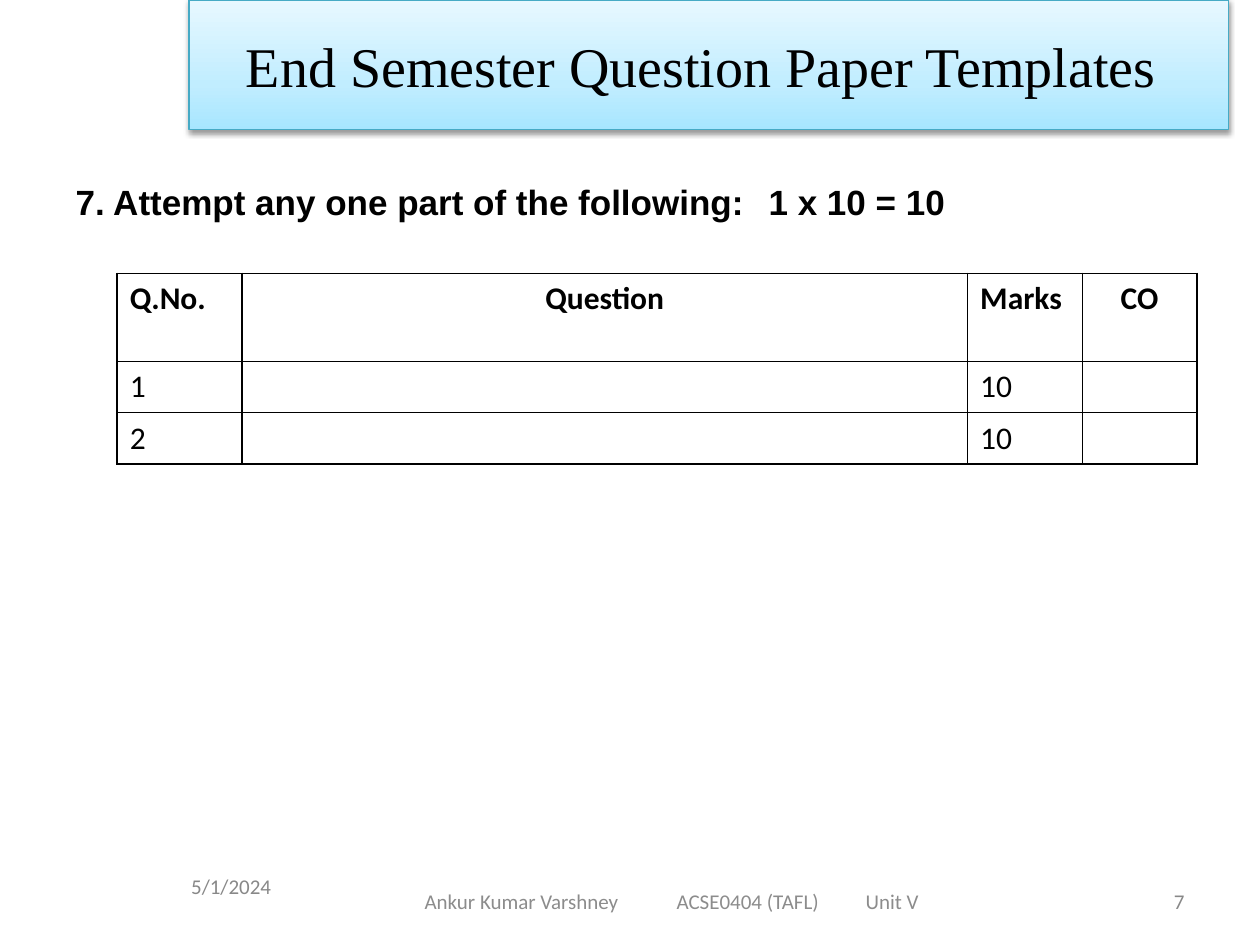
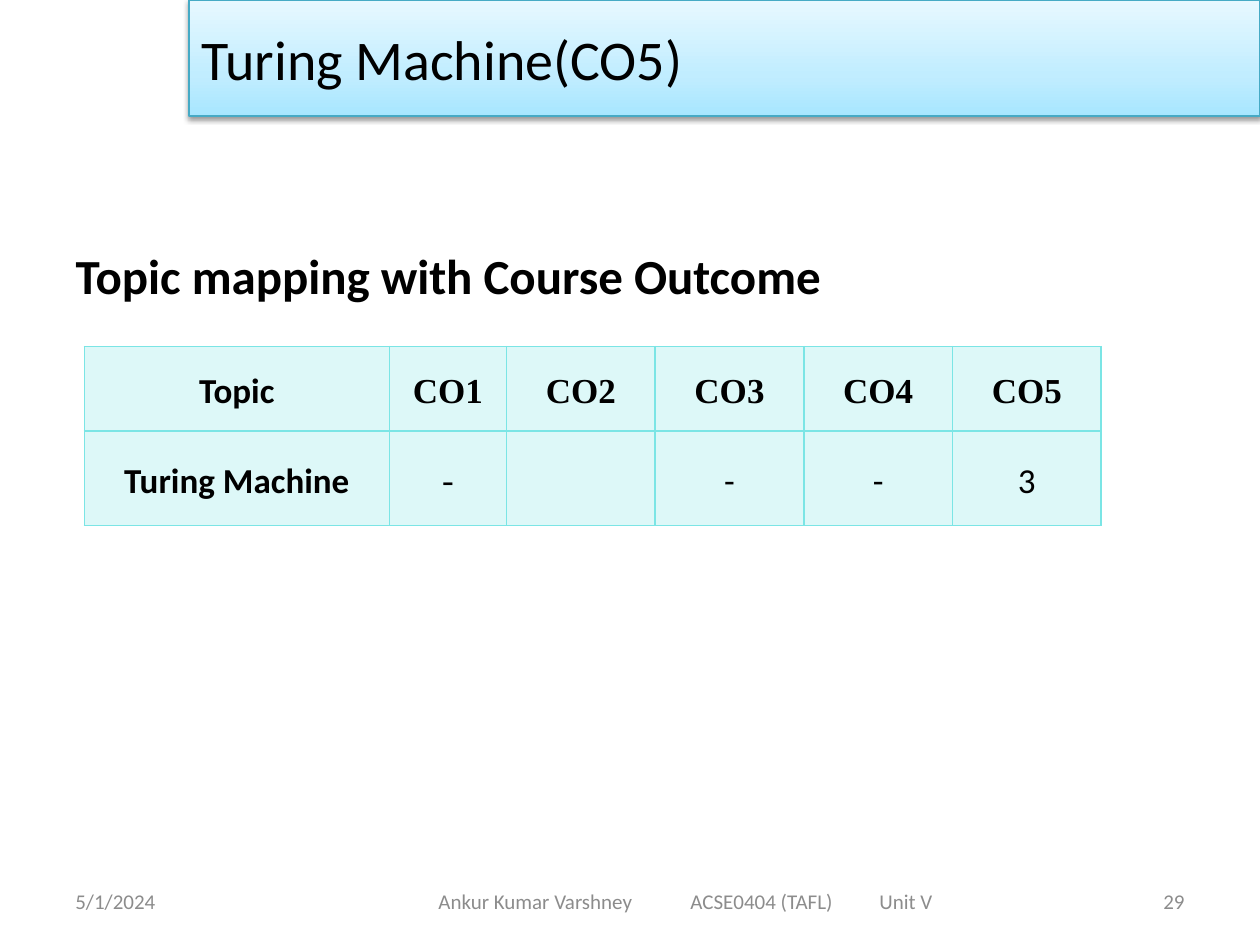
from dataclasses import dataclass

from lxml.etree import SubElement
from pptx import Presentation
from pptx.dml.color import RGBColor
from pptx.enum.text import MSO_ANCHOR, MSO_AUTO_SIZE, PP_ALIGN
from pptx.oxml import parse_xml
from pptx.oxml.ns import nsdecls, qn
from pptx.util import Inches, Pt

LEFT, CENTER, RIGHT = PP_ALIGN.LEFT, PP_ALIGN.CENTER, PP_ALIGN.RIGHT


@dataclass(frozen=True)
class Theme:
    sans: str = "Calibri"
    serif: str = "Times New Roman"
    body: str = "Arial"
    ink: str = "000000"
    paper: str = "FFFFFF"
    grey: str = "888888"
    footer_grey: str = "8C8C8C"
    band_line: str = "46AAC5"
    band_stops: tuple = ((0, "A7E6FF"), (35, "C1EDFF"), (100, "E7F8FF"))
    aqua: str = "7BE5E5"
    title_size: int = 32
    heading_size: int = 28
    text_size: int = 20
    cell_size: int = 18
    footer_size: int = 12


THEME = Theme()


@dataclass(frozen=True)
class Box:
    left: float
    top: float
    width: float
    height: float

    def emu(self) -> list:
        return [Inches(v) for v in (self.left, self.top, self.width, self.height)]


@dataclass(frozen=True)
class Text:
    """One paragraph; tabs are (position in inches, "l" or "r") pairs."""
    text: str
    font: str = THEME.sans
    size: int = THEME.footer_size
    color: str = THEME.footer_grey
    bold: bool = False
    align: PP_ALIGN = LEFT
    tabs: tuple = ()


@dataclass(frozen=True)
class Label:
    box: Box
    text: Text
    inset: float = 0.1


@dataclass(frozen=True)
class Grid:
    left: float
    top: float
    cols: tuple
    heights: tuple
    rows: tuple
    aligns: tuple
    size: int
    line: str
    fill: str
    alpha: int = 100
    margins: tuple = (0.1, 0.05)
    anchor: MSO_ANCHOR = MSO_ANCHOR.TOP
    spacing: float = 1.0
    bold_first_col: bool = False
    serif_cells: frozenset = frozenset()


def set_all(target, values: dict) -> None:
    for name, value in values.items():
        setattr(target, name, value)


def write(p, text: Text) -> None:
    set_all(p, {"alignment": text.align, "space_before": Pt(0)})
    pPr = p._p.get_or_add_pPr()
    set_all_xml = {"marL": "0", "indent": "0"}
    for name, value in set_all_xml.items():
        pPr.set(name, value)
    SubElement(pPr, qn("a:buNone"))
    if text.tabs:
        tabs = SubElement(pPr, qn("a:tabLst"))
        for pos, side in text.tabs:
            SubElement(tabs, qn("a:tab"), pos=str(Inches(pos)), algn=side)
    r = p.add_run()
    r.text = text.text
    set_all(r.font, {"name": text.font, "size": Pt(text.size), "bold": text.bold})
    r.font.color.rgb = RGBColor.from_string(text.color)


def place(sp, box: Box) -> None:
    set_all(sp, dict(zip(("left", "top", "width", "height"), box.emu())))


def add_band(s, box: Box, text: Text, right_inset: float = 0.1) -> None:
    """Turn the title placeholder into the shaded band at the top."""
    sp = s.shapes.title
    place(sp, box)
    stops = "".join(
        f'<a:gs pos="{pos * 1000}"><a:srgbClr val="{color}"/></a:gs>'
        for pos, color in THEME.band_stops)
    spPr = sp._element.spPr
    spPr.append(parse_xml(
        f'<a:gradFill {nsdecls("a")} rotWithShape="1"><a:gsLst>{stops}</a:gsLst>'
        '<a:lin ang="16200000" scaled="0"/></a:gradFill>'))
    sp.line.color.rgb = RGBColor.from_string(THEME.band_line)
    sp.line.width = Pt(0.75)
    spPr.append(parse_xml(
        f'<a:effectLst {nsdecls("a")}><a:outerShdw blurRad="{Pt(3.1)}" '
        f'dist="{Pt(1.6)}" dir="5400000" rotWithShape="0"><a:srgbClr val="000000">'
        '<a:alpha val="38000"/></a:srgbClr></a:outerShdw></a:effectLst>'))
    set_all(sp.text_frame, {"vertical_anchor": MSO_ANCHOR.MIDDLE, "word_wrap": True,
                            "auto_size": MSO_AUTO_SIZE.NONE,
                            "margin_right": Inches(right_inset)})
    write(sp.text_frame.paragraphs[0], text)


def fill_body(s, box: Box, text: Text, top_inset: float) -> None:
    sp = s.placeholders[1]
    place(sp, box)
    set_all(sp.text_frame, {"margin_top": Inches(top_inset),
                            "auto_size": MSO_AUTO_SIZE.NONE})
    write(sp.text_frame.paragraphs[0], text)


def add_label(s, label: Label) -> None:
    tf = s.shapes.add_textbox(*label.box.emu()).text_frame
    set_all(tf, {"word_wrap": True, "vertical_anchor": MSO_ANCHOR.MIDDLE,
                 "margin_left": Inches(label.inset)})
    write(tf.paragraphs[0], label.text)


def style_cell(cell, grid: Grid) -> None:
    side, end = (Inches(v) for v in grid.margins)
    set_all(cell, {"margin_left": side, "margin_right": side, "margin_top": end,
                   "margin_bottom": end, "vertical_anchor": grid.anchor})
    tcPr = cell._tc.get_or_add_tcPr()
    for edge in "LRTB":
        tcPr.append(parse_xml(
            f'<a:ln{edge} {nsdecls("a")} w="{Pt(1)}"><a:solidFill>'
            f'<a:srgbClr val="{grid.line}"/></a:solidFill></a:ln{edge}>'))
    cell.fill.solid()
    cell.fill.fore_color.rgb = RGBColor.from_string(grid.fill)
    if grid.alpha < 100:
        color = tcPr.find(qn("a:solidFill")).find(qn("a:srgbClr"))
        SubElement(color, qn("a:alpha"), val=str(grid.alpha * 1000))


def add_grid(s, grid: Grid) -> None:
    box = Box(grid.left, grid.top, sum(grid.cols), sum(grid.heights))
    table = s.shapes.add_table(len(grid.rows), len(grid.cols), *box.emu()).table
    set_all(table, {"first_row": False, "horz_banding": False})
    for col, width in zip(table.columns, grid.cols):
        col.width = Inches(width)
    for i, (row, height) in enumerate(zip(grid.rows, grid.heights)):
        table.rows[i].height = Inches(height)
        for j, value in enumerate(row):
            cell = table.cell(i, j)
            style_cell(cell, grid)
            if not value:
                continue
            p = cell.text_frame.paragraphs[0]
            p.line_spacing = grid.spacing
            font = THEME.serif if (i, j) in grid.serif_cells else THEME.sans
            bold = i == 0 or (grid.bold_first_col and j == 0)
            write(p, Text(value, font, grid.size, THEME.ink, bold, grid.aligns[j]))


FOOTER_TEXT = "Ankur Kumar Varshney\tACSE0404 (TAFL)\tUnit V"
FOOTER_BOX = Box(2.75, 6.95, 5.5, 0.4)
NUMBER_BOX = Box(7.17, 6.95, 2.33, 0.4)


def add_footer(s, date: Label, number: str, color: str, inset: float,
               stops: tuple) -> None:
    add_label(s, date)
    add_label(s, Label(NUMBER_BOX, Text(number, color=color, align=RIGHT)))
    tabs = tuple((pos, "l") for pos in stops)
    add_label(s, Label(FOOTER_BOX, Text(FOOTER_TEXT, tabs=tabs), inset))


QUESTIONS = Grid(
    left=0.93, top=2.17, cols=(0.99, 5.76, 0.91, 0.91), heights=(0.7, 0.4, 0.4),
    rows=(("Q.No.", "Question", "Marks", "CO"),
          ("1", "", "10", ""),
          ("2", "", "10", "")),
    aligns=(LEFT, CENTER, LEFT, CENTER),
    size=THEME.cell_size, line=THEME.ink, fill=THEME.paper)

OUTCOMES = Grid(
    left=0.67, top=2.75, cols=(2.42, 0.93) + (1.18,) * 4, heights=(0.67, 0.75),
    rows=(("Topic", "CO1", "CO2", "CO3", "CO4", "CO5"),
          ("Turing Machine", "-", "", "-", "-", "3")),
    aligns=(CENTER,) * 6,
    size=THEME.text_size, line=THEME.aqua, fill=THEME.aqua, alpha=25,
    margins=(0.07, 0), anchor=MSO_ANCHOR.MIDDLE, spacing=1.15, bold_first_col=True,
    serif_cells=frozenset([(0, j) for j in range(1, 6)] + [(1, 1)]))


def question_paper(prs) -> None:
    s = prs.slides.add_slide(prs.slide_layouts[1])
    add_band(s, Box(1.5, 0, 8.25, 1.03),
             Text("End Semester Question Paper Templates", THEME.serif,
                  THEME.title_size, THEME.ink, align=CENTER), right_inset=0.22)
    fill_body(s, Box(0.5, 1.34, 9, 5.2),
              Text("7. Attempt any one part of the following:\t1 x 10 = 10", THEME.body,
                   THEME.text_size, THEME.ink, True, tabs=((8.78, "r"),)), 0.09)
    add_grid(s, QUESTIONS)
    date = Label(Box(0.25, 6.83, 3.17, 0.4),
                 Text("5/1/2024", color=THEME.grey, align=CENTER))
    add_footer(s, date, "7", THEME.grey, 0.62, (2.03, 3.83))


def topic_mapping(prs) -> None:
    s = prs.slides.add_slide(prs.slide_layouts[1])
    add_band(s, Box(1.5, 0, 8.5, 0.92),
             Text("Turing Machine(CO5)", THEME.sans, THEME.title_size, THEME.ink))
    fill_body(s, Box(0.5, 1.25, 9, 4.95),
              Text("Topic mapping with Course Outcome", THEME.sans,
                   THEME.heading_size, THEME.ink, True), 0.7)
    add_grid(s, OUTCOMES)
    date = Label(Box(0.5, 6.95, 2.33, 0.4), Text("5/1/2024"))
    add_footer(s, date, "29", THEME.footer_grey, 0.73, (1.8, 3.61))


def main() -> None:
    prs = Presentation()
    prs.slide_width, prs.slide_height = Inches(10), Inches(7.5)
    question_paper(prs)
    topic_mapping(prs)
    prs.save("out.pptx")


if __name__ == "__main__":
    main()
